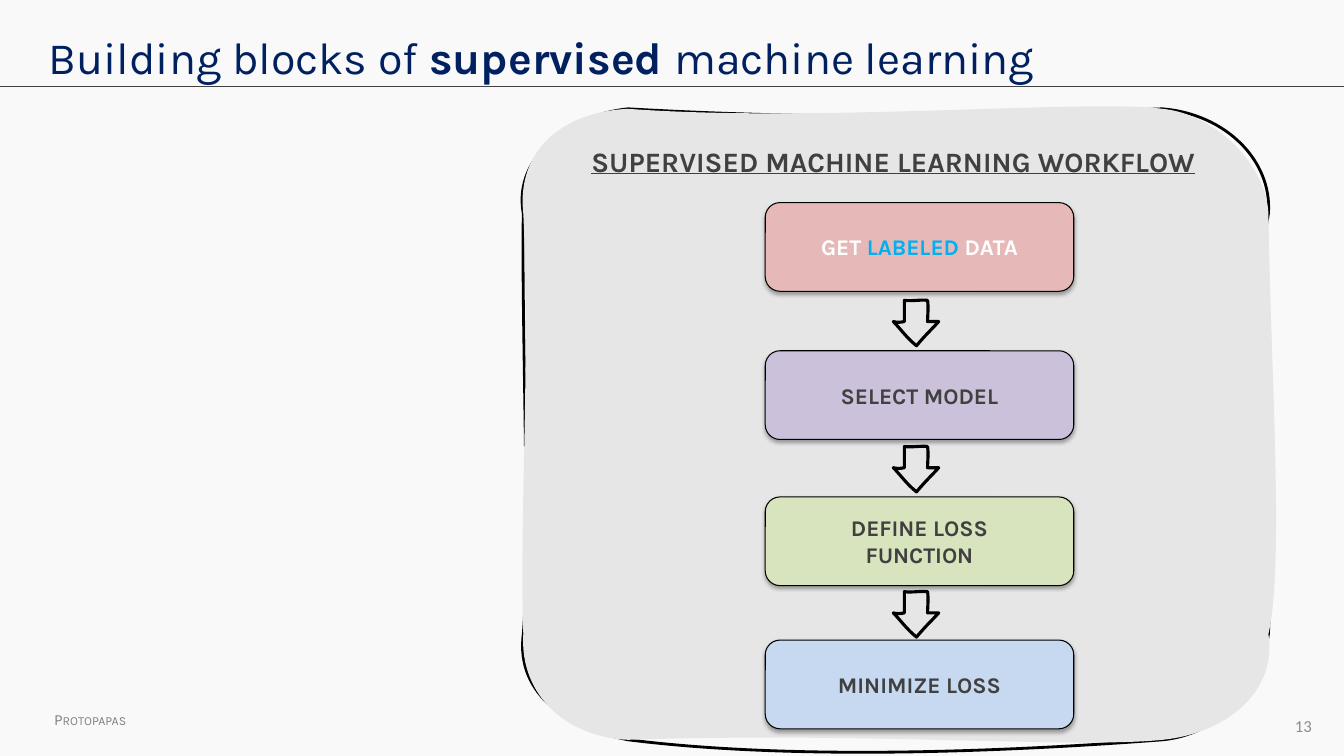
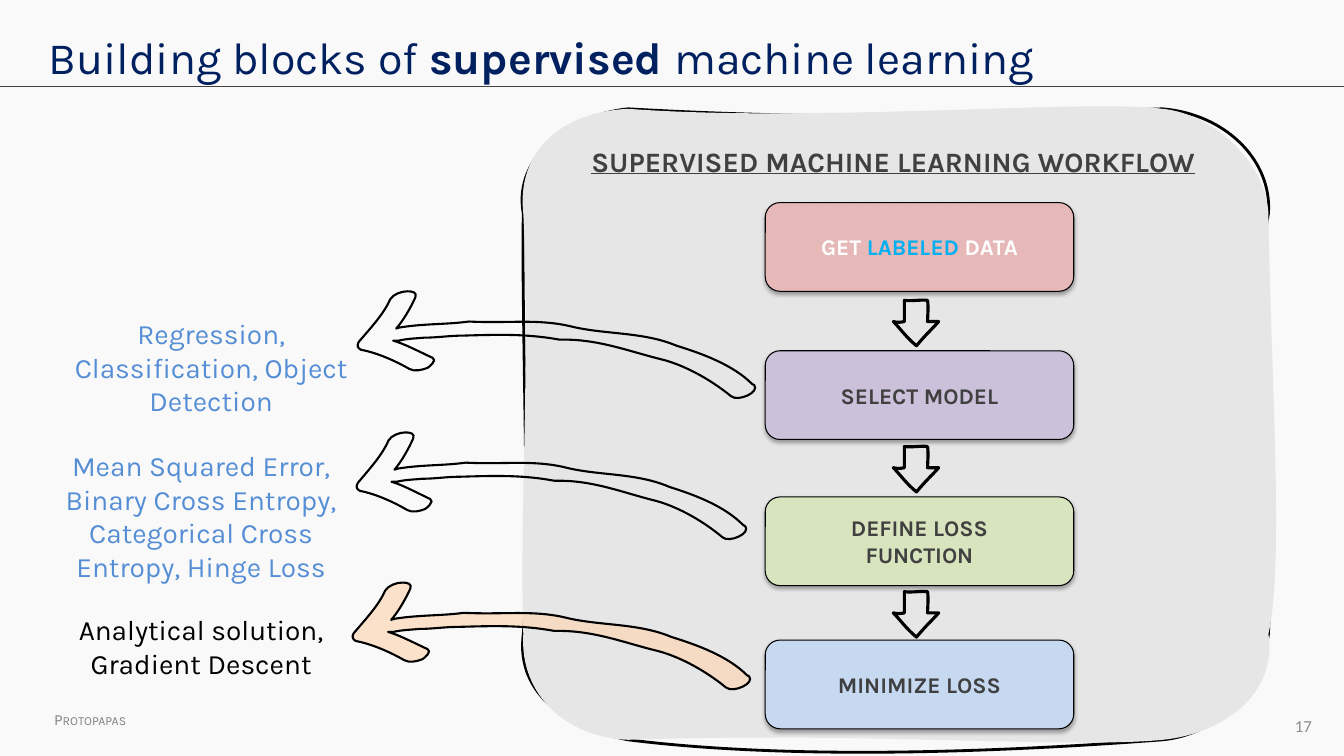
from lxml import etree
from pptx import Presentation
from pptx.dml.color import RGBColor
from pptx.enum.shapes import MSO_CONNECTOR, MSO_SHAPE
from pptx.enum.text import MSO_ANCHOR, MSO_AUTO_SIZE, PP_ALIGN
from pptx.oxml.ns import qn
from pptx.util import Inches, Pt

STRAIGHT = MSO_CONNECTOR.STRAIGHT
ROUNDED = MSO_SHAPE.ROUNDED_RECTANGLE
TOP, MIDDLE = MSO_ANCHOR.TOP, MSO_ANCHOR.MIDDLE
NO_FIT = MSO_AUTO_SIZE.NONE
LEFT, CENTER, RIGHT = PP_ALIGN.LEFT, PP_ALIGN.CENTER, PP_ALIGN.RIGHT

COLORS = {
    "background": "F9F9F9", "title": "002060", "text": "404040",
    "author": "808080", "number": "8C8C8C", "panel": "E6E6E6",
    "black": "000000", "white": "FFFFFF", "labeled": "00B0F0",
    "caption": "558ED5", "data": "E6B9B8", "model": "CCC1DA",
    "loss": "D7E4BD", "minimize": "C6D9F1", "highlight": "FCD5B5",
}
FONT = "Karla"

TITLE = [[("Building blocks of ", {}), ("supervised ", {"bold": True}),
          ("machine learning", {})]]
STEPS = [
    (2.01, "data", [[("GET ", {"color": "white"}),
                     ("LABELED", {"color": "labeled"}),
                     (" DATA", {"color": "white"})]]),
    (3.48, "model", [[("SELECT MODEL", {})]]),
    (4.93, "loss", [[("DEFINE LOSS", {})], [("FUNCTION", {})]]),
    (6.35, "minimize", [[("MINIMIZE LOSS", {})]]),
]
CAPTIONS = [
    (0.5, 3.09, 1.11, "caption",
     ["Regression, Classification, Object Detection"]),
    (0.4, 4.4, 1.45, "caption",
     ["Mean Squared Error,",
      "Binary Cross Entropy, Categorical Cross Entropy, Hinge Loss"]),
    (0.4, 6.03, 0.77, "black", ["Analytical solution,", "Gradient Descent"]),
]
DOWN_ARROW_SHIFTS = [0, 1.45, 2.89]
SKETCH_ARROWS = [(3.56, 3.39, 1, None), (3.55, 4.79, 0.98, None),
                 (3.51, 6.28, 1, "highlight")]

PANEL_BORDER = [
    (5.08, 1.52, 5.71, 1.13, 6.23, 1.08),
    (8.68, 1.22, 10.46, 1.12, 11.53, 1.08),
    (12.15, 1.13, 12.62, 1.59, 12.58, 2.12),
    (12.41, 3.07, 12.67, 4.25, 12.58, 6.29),
    (12.5, 6.88, 12.05, 7.29, 11.53, 7.34),
    (9.41, 7.5, 7.58, 7.51, 6.23, 7.34),
    (5.66, 7.23, 5.11, 6.91, 5.19, 6.29),
    (5.26, 5.44, 5.17, 3.12, 5.19, 2.12),
]
PANEL_AREA = [
    (5.12, 1.5, 5.57, 1.11, 6.23, 1.08),
    (8.13, 1.22, 10.78, 0.98, 11.53, 1.08),
    (12.05, 1.13, 12.56, 1.63, 12.58, 2.12),
    (12.6, 3.63, 12.74, 5.6, 12.58, 6.29),
    (12.67, 6.88, 12.14, 7.28, 11.53, 7.34),
    (10.65, 7.43, 8.58, 7.26, 6.23, 7.34),
    (5.65, 7.32, 5.15, 6.92, 5.19, 6.29),
    (5.15, 5.15, 5.26, 3.61, 5.19, 2.12),
]
DOWN_ARROW = [
    (9.24, 3.27, 9.19, 3.31, 9.09, 3.43),
    (8.99, 3.35, 8.93, 3.26, 8.86, 3.19),
    (8.89, 3.2, 8.93, 3.2, 8.97, 3.19),
    (8.97, 3.12, 8.97, 3.05, 8.97, 2.98),
    (9.05, 2.99, 9.14, 2.97, 9.2, 2.98),
    (9.21, 3.05, 9.2, 3.14, 9.2, 3.19),
    (9.25, 3.19, 9.27, 3.19, 9.31, 3.19),
]
SKETCH_ARROW = [
    (3.68, 3.25, 3.81, 3.11, 3.87, 2.97),
    (3.9, 2.92, 3.98, 2.89, 4.04, 2.89),
    (4.09, 2.89, 4.14, 2.9, 4.12, 2.95),
    (4.07, 3.06, 4, 3.18, 3.93, 3.26),
    (3.94, 3.26, 3.95, 3.25, 3.96, 3.25),
    (4.2, 3.21, 4.44, 3.22, 4.65, 3.19),
    (5.05, 3.21, 5.34, 3.16, 5.67, 3.24),
    (6, 3.32, 6.38, 3.29, 6.71, 3.43),
    (6.97, 3.51, 7.27, 3.62, 7.46, 3.81),
    (7.47, 3.82, 7.47, 3.82, 7.48, 3.82),
    (7.54, 3.89, 7.32, 3.99, 7.25, 3.93),
    (7.03, 3.75, 6.76, 3.61, 6.54, 3.56),
    (6.22, 3.48, 5.92, 3.36, 5.55, 3.37),
    (5.22, 3.31, 4.94, 3.32, 4.59, 3.33),
    (4.46, 3.33, 4.34, 3.35, 4.21, 3.35),
    (4.1, 3.36, 4.04, 3.36, 3.95, 3.38),
    (3.94, 3.38, 3.92, 3.38, 3.9, 3.38),
    (4.01, 3.41, 4.16, 3.49, 4.29, 3.55),
    (4.34, 3.57, 4.26, 3.64, 4.24, 3.65),
    (4.19, 3.67, 4.11, 3.69, 4.06, 3.66),
    (3.92, 3.58, 3.74, 3.5, 3.58, 3.47),
    (3.54, 3.45, 3.54, 3.42, 3.56, 3.39),
]


def rgb(name):
    return RGBColor.from_string(COLORS[name])


def write(frame, paragraphs, size, color, align=CENTER, font=FONT, bold=False,
          underline=False):
    for index, runs in enumerate(paragraphs):
        paragraph = frame.paragraphs[0] if index == 0 else frame.add_paragraph()
        paragraph.alignment = align
        for text, changes in runs:
            run = paragraph.add_run()
            run.text = text
            run.font.name = font
            run.font.size = Pt(size)
            run.font.bold = changes.get("bold", bold)
            run.font.underline = underline
            run.font.color.rgb = rgb(changes.get("color", color))


def add_text(slide, box, lines, size, color, anchor=TOP, **style):
    label = slide.shapes.add_textbox(*map(Inches, box))
    frame = label.text_frame
    frame.word_wrap = True
    frame.vertical_anchor = anchor
    write(frame, [[(line, {})] for line in lines], size, color, **style)
    return label


def place(curves, tip_x, tip_y, stretch=1):
    start_x, start_y = curves[-1][-2:]
    return [tuple(tip_y + value - start_y if index % 2
                  else tip_x + (value - start_x) * stretch
                  for index, value in enumerate(curve))
            for curve in curves]


def bend_segments(outline, curves):
    segments = list(outline.element.spPr.iter(qn("a:lnTo")))
    for segment, curve in zip(segments, curves):
        bend = etree.Element(qn("a:cubicBezTo"))
        for x, y in zip(curve[::2], curve[1::2]):
            etree.SubElement(bend, qn("a:pt"), x=str(Inches(x) - outline.left),
                             y=str(Inches(y) - outline.top))
        segment.getparent().replace(segment, bend)


def add_outline(slide, curves, fill=None, width=None, opacity=100):
    corners = [tuple(map(Inches, curve[-2:])) for curve in curves]
    builder = slide.shapes.build_freeform(*corners[-1])
    builder.add_line_segments(corners, close=True)
    outline = builder.convert_to_shape()
    bend_segments(outline, curves)
    outline.shadow.inherit = False
    if fill:
        outline.fill.solid()
        outline.fill.fore_color.rgb = rgb(fill)
        if opacity < 100:
            tint = outline.element.spPr.find(".//" + qn("a:srgbClr"))
            etree.SubElement(tint, qn("a:alpha"), val=str(opacity * 1000))
    else:
        outline.fill.background()
    if width:
        outline.line.color.rgb = rgb("black")
        outline.line.width = Pt(width)
    else:
        outline.line.fill.background()


def add_soft_shadow(shape):
    shape.shadow.inherit = False
    effects = shape.element.spPr.find(qn("a:effectLst"))
    shadow = etree.SubElement(
        effects, qn("a:outerShdw"), blurRad=str(Pt(3.1)), dist=str(Pt(1.8)),
        dir="5400000", algn="t", rotWithShape="0")
    tint = etree.SubElement(shadow, qn("a:srgbClr"), val=COLORS["black"])
    etree.SubElement(tint, qn("a:alpha"), val="35000")


def add_step(slide, top, fill, paragraphs):
    step = slide.shapes.add_shape(
        ROUNDED, *map(Inches, (7.59, top, 3.06, 0.88)))
    step.fill.solid()
    step.fill.fore_color.rgb = rgb(fill)
    step.line.color.rgb = rgb("black")
    step.line.width = Pt(0.75)
    add_soft_shadow(step)
    step.text_frame.vertical_anchor = MIDDLE
    write(step.text_frame, paragraphs, 16, "text", bold=True)


def add_workflow(slide):
    add_outline(slide, PANEL_BORDER, width=2)
    add_outline(slide, PANEL_AREA, fill="panel")
    add_text(slide, (5.54, 1.38, 6.64, 0.44),
             ["SUPERVISED MACHINE LEARNING WORKFLOW"], 20, "text",
             bold=True, underline=True)
    for shift in DOWN_ARROW_SHIFTS:
        add_outline(slide, place(DOWN_ARROW, 9.31, 3.19 + shift), width=2.25)
    for top, fill, paragraphs in STEPS:
        add_step(slide, top, fill, paragraphs)


def add_examples(slide):
    for left, top, height, color, lines in CAPTIONS:
        add_text(slide, (left, top, 3.19, height), lines, 20, color)
    for tip_x, tip_y, stretch, fill in SKETCH_ARROWS:
        add_outline(slide, place(SKETCH_ARROW, tip_x, tip_y, stretch), fill,
                    width=1.5, opacity=69)


def set_up_layout(prs, layout):
    background = prs.slide_master.background.fill
    background.solid()
    background.fore_color.rgb = rgb("background")
    title = layout.placeholders[0]
    title.left, title.top, title.width, title.height = map(
        Inches, (0.38, 0.24, 12.57, 0.84))
    title.text_frame.vertical_anchor = TOP
    title.text_frame.auto_size = NO_FIT


def move_to_layout(slide, layout):
    rule = slide.shapes.add_connector(
        STRAIGHT, *map(Inches, (0, 0.86, 13.33, 0.86)))
    rule.line.color.rgb = rgb("text")
    rule.line.width = Pt(0.75)
    etree.SubElement(rule.element.spPr, qn("a:effectLst"))
    author = add_text(slide, (0.39, 7, 1.01, 0.29), ["Protopapas"], 11, "author")
    for properties in author.element.iter(qn("a:rPr")):
        properties.set("cap", "small")
    for shared in (rule, author):
        layout.shapes.element.append(shared.element)


def add_slide(prs, layout, number):
    slide = prs.slides.add_slide(layout)
    write(slide.shapes.title.text_frame, TITLE, 32, "title", align=LEFT)
    add_text(slide, (10, 7, 3.11, 0.4), [number], 12, "number",
             anchor=MIDDLE, align=RIGHT, font="Calibri")
    add_workflow(slide)
    return slide


def main():
    prs = Presentation()
    prs.slide_width, prs.slide_height = Inches(13.33), Inches(7.5)
    layout = prs.slide_layouts[5]
    set_up_layout(prs, layout)
    overview = add_slide(prs, layout, "13")
    move_to_layout(overview, layout)
    examples = add_slide(prs, layout, "17")
    add_examples(examples)
    prs.save("out.pptx")


if __name__ == "__main__":
    main()
